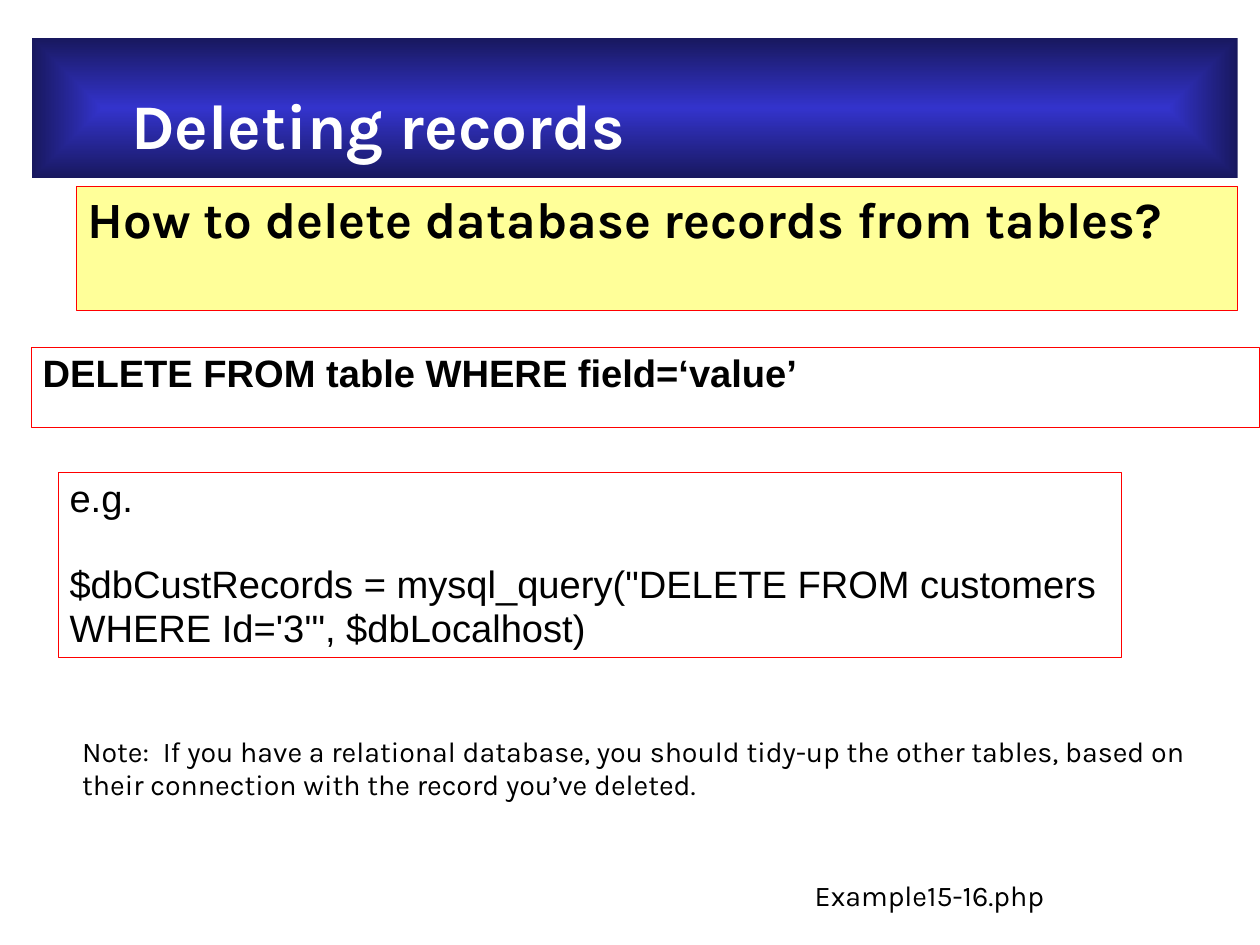
import pptx
import pptx.dml.color
import pptx.enum.shapes
import pptx.enum.text
import pptx.oxml
import pptx.oxml.ns
import pptx.util

WIDTH, HEIGHT = pptx.util.Cm(28), pptx.util.Cm(21)
BLACK, WHITE, RED = "000000", "FFFFFF", "FF0000"
PALE_YELLOW, BLUE, NAVY = "FFFF99", "3333CC", "18185E"
HEADING_FONT, CODE_FONT = "Karla", "Arial"


def rgb(hex_colour):
    return pptx.dml.color.RGBColor.from_string(hex_colour)


def area(left, top, width, height):
    """Turn percentages of the slide's size into lengths."""
    return (int(WIDTH * left / 100), int(HEIGHT * top / 100),
            int(WIDTH * width / 100), int(HEIGHT * height / 100))


def write(holder, lines, font, size, colour=BLACK, bold=False,
          insets=(0.1, 0.05), wrap=True, gap=0):
    frame = holder.text_frame
    frame.word_wrap = wrap
    frame.vertical_anchor = pptx.enum.text.MSO_ANCHOR.TOP
    frame.margin_left = frame.margin_right = pptx.util.Inches(insets[0])
    frame.margin_top = frame.margin_bottom = pptx.util.Inches(insets[1])
    for number, line in enumerate(lines):
        paragraph = frame.add_paragraph() if number else frame.paragraphs[0]
        paragraph.alignment = pptx.enum.text.PP_ALIGN.LEFT
        paragraph.line_spacing = 0.95
        if number and gap:
            paragraph.space_before = pptx.util.Pt(gap)
        run = paragraph.add_run()
        run.text = line
        run.font.name = font
        run.font.size = pptx.util.Pt(size)
        run.font.bold = bold
        run.font.color.rgb = rgb(colour)


def add_panel(slide, place, fill=None, line=None):
    panel = slide.shapes.add_shape(
        pptx.enum.shapes.MSO_SHAPE.RECTANGLE, *area(*place))
    panel.shadow.inherit = False
    if fill:
        panel.fill.solid()
        panel.fill.fore_color.rgb = rgb(fill)
    else:
        panel.fill.background()
    if line:
        panel.line.color.rgb = rgb(line)
        panel.line.width = pptx.util.Pt(0.75)
    else:
        panel.line.fill.background()
    return panel


def glow_from_centre(panel, inner, outer):
    """Fill a panel with a rectangular gradient."""
    panel.fill.gradient()
    for stop, position, colour in zip(
            panel.fill.gradient_stops, (0, 1), (inner, outer)):
        stop.position = position
        stop.color.rgb = rgb(colour)
    linear = panel.fill._xPr.find(".//" + pptx.oxml.ns.qn("a:lin"))
    linear.getparent().replace(linear, pptx.oxml.parse_xml(
        f'<a:path {pptx.oxml.ns.nsdecls("a")} path="rect">'
        '<a:fillToRect l="50000" t="50000" r="50000" b="50000"/></a:path>'))


def add_caption(slide, place, lines):
    caption = slide.shapes.add_textbox(*area(*place))
    write(caption, lines, HEADING_FONT, 18, wrap=False)


def main():
    deck = pptx.Presentation()
    deck.slide_width, deck.slide_height = WIDTH, HEIGHT
    slide = deck.slides.add_slide(deck.slide_layouts[6])

    # Title banner
    banner = add_panel(slide, (2.54, 3.99, 95.7, 14.88))
    glow_from_centre(banner, BLUE, NAVY)
    write(banner, ["Deleting records"], HEADING_FONT, 40, WHITE, True,
          insets=(0.87, 0.47))

    # Question and general syntax
    question = add_panel(slide, (6.08, 19.71, 92.16, 13.18), PALE_YELLOW, RED)
    write(question, ["How to delete database records from tables?"],
          HEADING_FONT, 32, bold=True)
    syntax = add_panel(slide, (2.5, 36.77, 97.5, 8.47), WHITE, RED)
    write(syntax, ["DELETE FROM table WHERE field=‘value’"],
          CODE_FONT, 24, bold=True)

    # Worked example
    example = add_panel(slide, (4.63, 49.98, 84.36, 19.59), line=RED)
    write(example, [
        "e.g.",
        "$dbCustRecords = mysql_query(\"DELETE FROM customers "
        "WHERE Id='3'\", $dbLocalhost)",
    ], CODE_FONT, 24, gap=27)

    # Note and file name
    add_caption(slide, (5.63, 77.38, 93.7, 8.1), [
        "Note:  If you have a relational database, you should tidy-up "
        "the other tables, based on",
        "their connection with the record you’ve deleted.",
    ])
    add_caption(slide, (63.77, 92.53, 21.77, 4.72), ["Example15-16.php"])

    deck.save("out.pptx")


if __name__ == "__main__":
    main()
